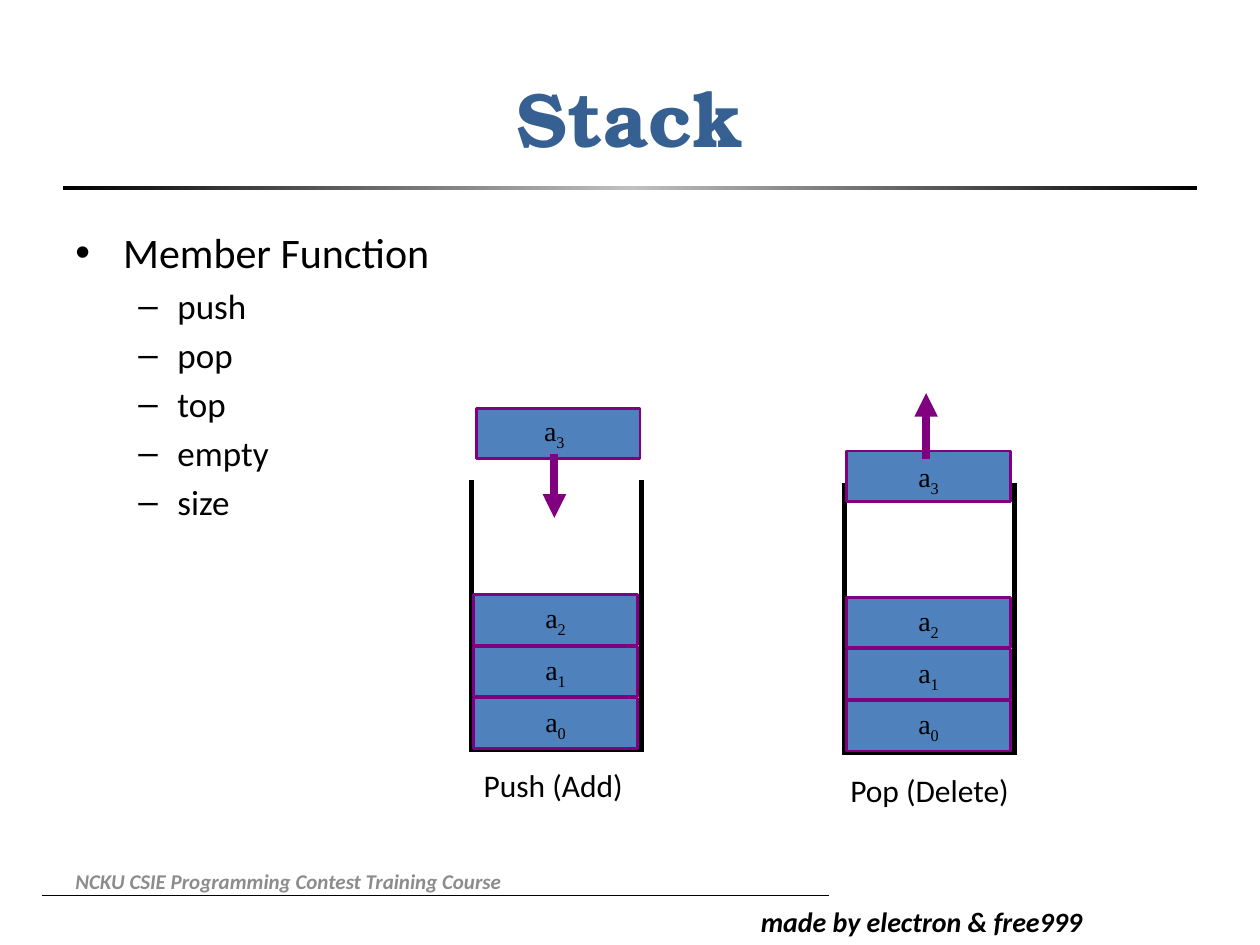
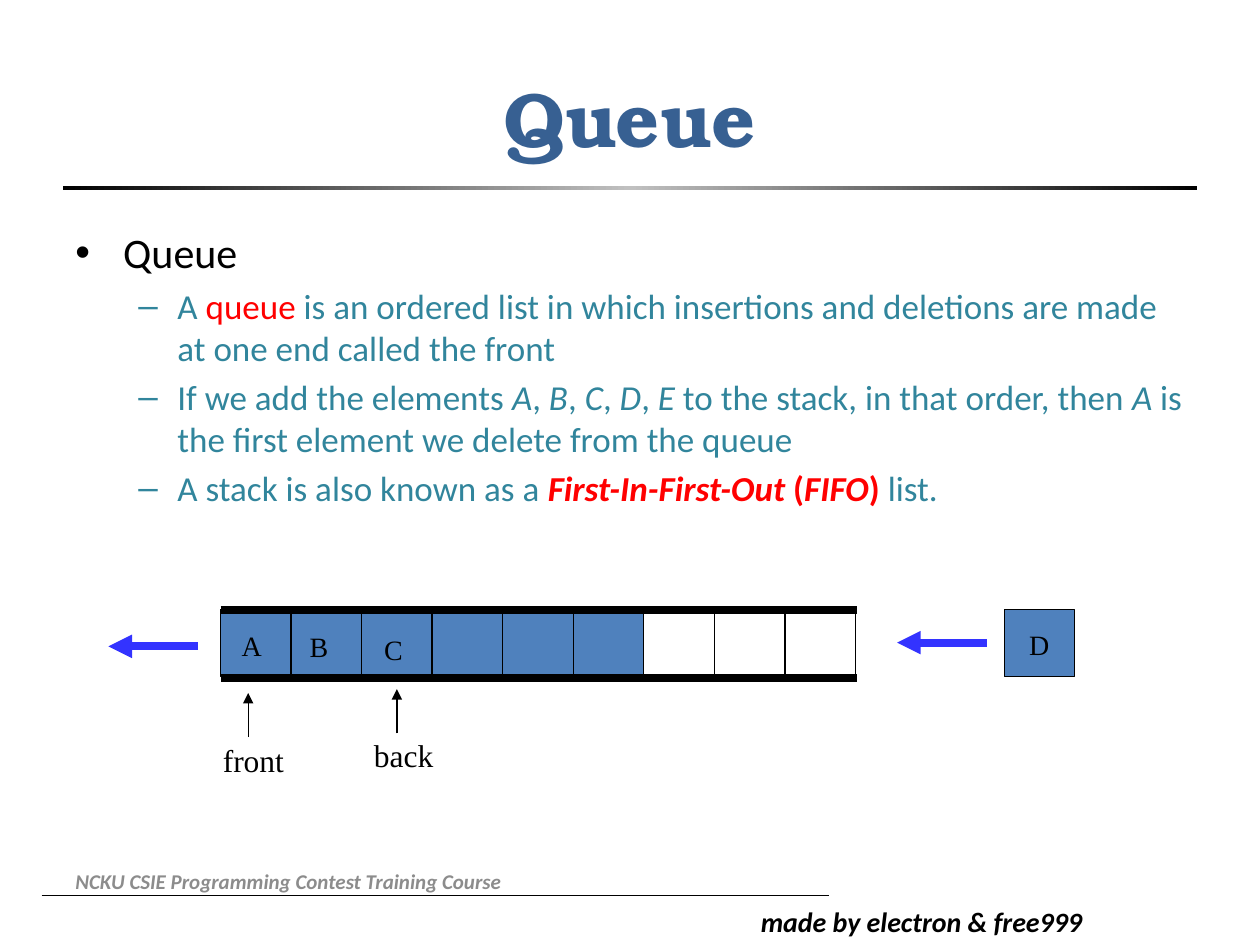
"""Builds two slides on the stack and queue data structures."""
from copy import deepcopy

from pptx import Presentation
from pptx.dml.color import RGBColor
from pptx.enum.shapes import MSO_CONNECTOR, MSO_SHAPE
from pptx.enum.text import MSO_ANCHOR, PP_ALIGN
from pptx.oxml.ns import qn
from pptx.oxml.xmlchemy import OxmlElement
from pptx.util import Inches, Pt

BLACK, BLUE, PURPLE, RED = "000000", "4F81BD", "800080", "FF0000"
TITLE_BLUE, TEAL, GREY, ARROW_BLUE = "376092", "31859C", "8C8C8C", "3333FF"
SANS, SERIF, DISPLAY = "Calibri", "Times New Roman", "TeX Gyre Bonum"
color = RGBColor.from_string

presentation = Presentation()
presentation.slide_width, presentation.slide_height = Inches(10), Inches(7.5)
column = presentation.slide_width / 100
row = presentation.slide_height / 75


def add_text(slide, box, paragraphs, size, font=SERIF, ink=BLACK, style=""):
    """Add paragraphs of (text, style) runs; styles: b, i, r for red, s for subscript."""
    left, top, width, height = box
    shape = slide.shapes.add_textbox(
        int(left * column), int(top * row), int(width * column), int(height * row))
    frame = shape.text_frame
    frame.word_wrap = True
    for index, runs in enumerate(paragraphs):
        paragraph = frame.paragraphs[0] if index == 0 else frame.add_paragraph()
        paragraph.font.size, paragraph.font.name = Pt(size), font
        paragraph.font.color.rgb = color(ink)
        paragraph.font.bold, paragraph.font.italic = "b" in style, "i" in style
        for text, marks in runs:
            run = paragraph.add_run()
            run.text = text
            if "b" in marks:
                run.font.bold = True
            if "i" in marks:
                run.font.italic = True
            if "r" in marks:
                run.font.color.rgb = color(RED)
            if "s" in marks:
                run.font._element.set("baseline", "-25000")
    return frame


def add_line(slide, start, end, ink, width, arrow=False):
    """Add a straight line between two grid points."""
    line = slide.shapes.add_connector(
        MSO_CONNECTOR.STRAIGHT, int(start[0] * column), int(start[1] * row),
        int(end[0] * column), int(end[1] * row))
    line.line.color.rgb, line.line.width = color(ink), Pt(width)
    properties = line._element.spPr
    if arrow:
        tail = OxmlElement("a:tailEnd")
        tail.set("type", "triangle")
        properties.find(qn("a:ln")).append(tail)
    properties.append(OxmlElement("a:effectLst"))


stack_body = [[(text, "")] for text in
              ("Member Function", "push", "pop", "top", "empty", "size")]
queue_body = [
    [("Queue", "")],
    [("A ", ""), ("queue", "r"),
     (" is an ordered list in which insertions and deletions are made at one end called the front", "")],
    [("If we add the elements ", ""), ("A", "i"), (", ", ""), ("B", "i"), (", ", ""),
     ("C", "i"), (", ", ""), ("D", "i"), (", ", ""), ("E", "i"),
     (" to the stack, in that order, then ", ""), ("A", "i"),
     (" is the first element we delete from the queue", "")],
    [("A stack is also known as a ", ""), ("First-In-First-Out", "rbi"), (" (", "rb"),
     ("FIFO", "rbi"), (") ", "rb"), ("list.", "")],
]

slides = []
for title, body, item_ink in (("Stack", stack_body, BLACK), ("Queue", queue_body, TEAL)):
    slide = presentation.slides.add_slide(presentation.slide_layouts[6])
    slides.append(slide)
    add_line(slide, (3.3, 71.1), (65.8, 71.1), BLACK, 0.5)
    add_text(slide, (59.4, 71.3, 30.7, 3.7), [[("made by electron & free999", "")]],
             16, SANS, style="bi")

    rule = slide.shapes.add_shape(MSO_SHAPE.RECTANGLE, int(5 * column), int(14.8 * row),
                                  int(90 * column), int(0.3 * row))
    rule.shadow.inherit = False
    rule.line.fill.background()
    rule.fill.gradient()
    rule.fill.gradient_angle = 0
    stop_list = rule._element.spPr.find(".//" + qn("a:gsLst"))
    stop_list.append(deepcopy(stop_list[0]))
    for stop, position, ink in zip(rule.fill.gradient_stops, (0, 0.5, 1),
                                   (BLACK, "C0C0C0", BLACK)):
        stop.position, stop.color.rgb = position, color(ink)

    heading = add_text(slide, (5, 3, 90, 12.5), [[(title, "")]], 44, DISPLAY, TITLE_BLUE, "b")
    heading.vertical_anchor = MSO_ANCHOR.MIDDLE
    heading.paragraphs[0].alignment = PP_ALIGN.CENTER

    content = add_text(slide, (5, 17.5, 90, 49.5), body, 20, SANS, item_ink)
    content.paragraphs[0].font.size = Pt(24)
    content.paragraphs[0].font.color.rgb = color(BLACK)
    for index, paragraph in enumerate(content.paragraphs):
        margin, hanging, mark = (0.81, 0.31, "–") if index else (0.38, 0.38, "•")
        paragraph.space_before = Pt(4 if index else 4.8)
        properties = paragraph._p.get_or_add_pPr()
        properties.set("marL", str(Inches(margin)))
        properties.set("indent", str(-Inches(hanging)))
        bullet_font, bullet = OxmlElement("a:buFont"), OxmlElement("a:buChar")
        bullet_font.set("typeface", "Arial")
        bullet.set("char", mark)
        properties.insert_element_before(bullet_font, "a:tabLst", "a:defRPr")
        properties.insert_element_before(bullet, "a:tabLst", "a:defRPr")

    footer = add_text(slide, (5, 67.9, 46.6, 4),
                      [[("NCKU CSIE Programming Contest Training Course", "")]],
                      12, SANS, GREY, "bi")
    footer.vertical_anchor = MSO_ANCHOR.MIDDLE

stack_slide, queue_slide = slides
rectangles, labels = [], []

for left, base, moving_block, moving_label in (
        (37.4, 59.5, (37.8, 32.4), (42.2, 32.3)),
        (67, 59.7, (67.2, 35.8), (71.9, 36))):
    right = left + 13.5
    for start, end in (((left, base - 21.4), (left, base + 0.2)),
                       ((right, base - 21.4), (right, base + 0.2)),
                       ((left, base), (right, base))):
        add_line(stack_slide, start, end, BLACK, 3)
    blocks = [(left + 0.2, base - 4.1 * (level + 1)) for level in range(3)]
    label_places = [(x + 4.7, y) for x, y in blocks]
    for block in blocks + [moving_block]:
        rectangles.append((stack_slide, *block, 13, 4, BLUE, PURPLE, 1.5))
    for level, place in enumerate(label_places + [moving_label]):
        labels.append((stack_slide, *place, 4, [("a", ""), (str(level), "s")]))

cell_pitch = 5.6
for index in (0, 1, 2, 3, 4, 5, 6, 8):
    filled = index < 6
    rectangles.append((queue_slide, 17.5 + index * cell_pitch, 48.4 if filled else 48.6,
                       5.6, 5.3, BLUE if filled else None, BLACK, 0.75))
rectangles.append((queue_slide, 79.7, 48.4, 5.6, 5.3, BLUE, BLACK, 0.75))
for letter, left, top, width in (("A", 18.2, 49.4, 4), ("B", 23.6, 49.5, 4),
                                 ("C", 29.5, 49.7, 4), ("D", 80.7, 49.3, 6.4)):
    labels.append((queue_slide, left, top, width, [(letter, "")]))

for slide, left, top, width, height, fill, outline, weight in rectangles:
    shape = slide.shapes.add_shape(MSO_SHAPE.RECTANGLE, int(left * column), int(top * row),
                                   int(width * column), int(height * row))
    shape.shadow.inherit = False
    shape.line.color.rgb, shape.line.width = color(outline), Pt(weight)
    if fill:
        shape.fill.solid()
        shape.fill.fore_color.rgb = color(fill)
    else:
        shape.fill.background()

for slide, left, top, width, runs in labels:
    add_text(slide, (left, top, width, 3.7), [runs], 16)

for edge in (48.4, 53.8):
    add_line(queue_slide, (17.5, edge), (68, edge), BLACK, 4.5)
for slide, start, end, ink, width in (
        (stack_slide, (44, 36), (44, 41.1), PURPLE, 4.5),
        (stack_slide, (73.5, 36.4), (73.5, 31.2), PURPLE, 4.5),
        (queue_slide, (78.3, 51), (71.2, 51), ARROW_BLUE, 4.5),
        (queue_slide, (15.7, 51.3), (8.6, 51.3), ARROW_BLUE, 4.5),
        (queue_slide, (19.7, 58.5), (19.7, 55), BLACK, 0.75),
        (queue_slide, (31.5, 58.2), (31.5, 54.7), BLACK, 0.75)):
    add_line(slide, start, end, ink, width, arrow=True)

for slide, text, left, top, width, font in (
        (stack_slide, "Push (Add)", 37.4, 60.3, 14.6, SANS),
        (stack_slide, "Pop (Delete)", 66.5, 60.7, 16.3, SANS),
        (queue_slide, "front", 16.7, 58.3, 7.1, SERIF),
        (queue_slide, "back", 28.7, 57.9, 8.4, SERIF)):
    add_text(slide, (left, top, width, 4), [[(text, "")]], 18, font)

presentation.save("out.pptx")
